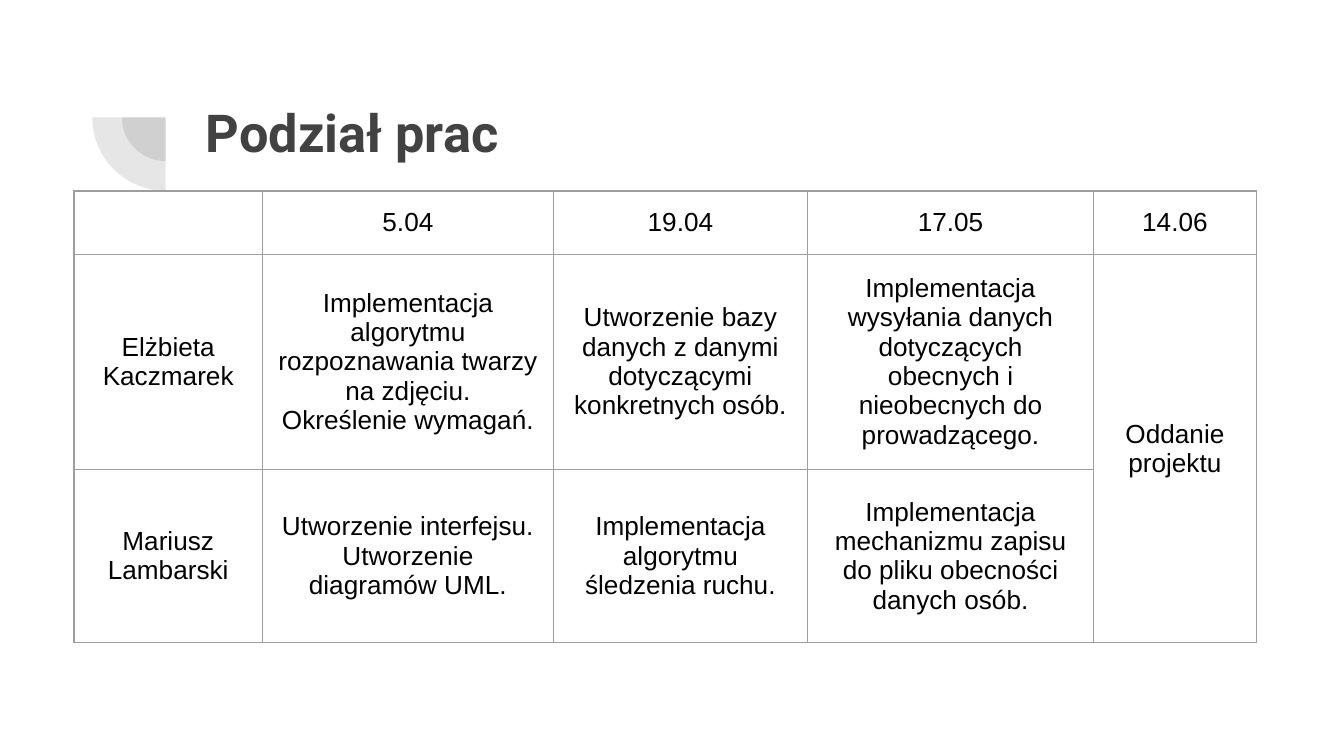
from lxml import etree
from pptx import Presentation
from pptx.dml.color import RGBColor
from pptx.enum.shapes import MSO_SHAPE
from pptx.enum.text import MSO_ANCHOR, PP_ALIGN
from pptx.oxml.ns import qn
from pptx.util import Cm, Pt

CENTER = PP_ALIGN.CENTER
MIDDLE = MSO_ANCHOR.MIDDLE
PIE = MSO_SHAPE.PIE

DARK_GREY = RGBColor(0x42, 0x42, 0x42)
BLACK = RGBColor(0, 0, 0)
BORDER_GREY = RGBColor(0x9E, 0x9E, 0x9E)

# Content
TITLE = "Podział prac"
SCHEDULE = [
    ["", "5.04", "19.04", "17.05", "14.06"],
    [
        "Elżbieta Kaczmarek",
        "Implementacja algorytmu rozpoznawania twarzy na zdjęciu.\nOkreślenie wymagań.",
        "Utworzenie bazy danych z danymi dotyczącymi konkretnych osób.",
        "Implementacja wysyłania danych dotyczących obecnych i nieobecnych do prowadzącego.",
        "Oddanie projektu",
    ],
    [
        "Mariusz Lambarski",
        "Utworzenie interfejsu.\nUtworzenie diagramów UML.",
        "Implementacja algorytmu śledzenia ruchu.",
        "Implementacja mechanizmu zapisu do pliku obecności danych osób.",
        "",
    ],
]

# Layout, in centimetres
COLUMN_WIDTHS = [3.56, 5.5, 4.8, 5.41, 3.07]
ROW_HEIGHTS = [1.2, 3.84, 3.28]
TABLE_LEFT, TABLE_TOP = 1.4, 3.61
PIE_CENTER = (3.13, 2.22)
PIE_DIAMETERS = [1.65, 2.77]
INSET = Cm(0.25)
EMPTY_INSET = Cm(0.1)


def style_font(run, name, size, color, bold=False):
    run.font.name = name
    run.font.size = Pt(size)
    run.font.color.rgb = color
    run.font.bold = bold


def add_quarter_pie(slide, diameter):
    left, top = (Cm(center - diameter / 2) for center in PIE_CENTER)
    shape = slide.shapes.add_shape(PIE, left, top, Cm(diameter), Cm(diameter))
    shape.adjustments[0] = 108
    shape.adjustments[1] = 162
    shape.rotation = 270
    shape.shadow.inherit = False
    shape.line.fill.background()
    shape.fill.solid()
    shape.fill.fore_color.rgb = DARK_GREY
    color = shape.fill._xPr.find(qn("a:solidFill"))[0]
    etree.SubElement(color, qn("a:alpha"), val="13000")


def add_borders(cell):
    properties = cell._tc.get_or_add_tcPr()
    for index, side in enumerate(("a:lnL", "a:lnR", "a:lnT", "a:lnB")):
        line = etree.Element(qn(side), w=str(Pt(0.75)))
        fill = etree.SubElement(line, qn("a:solidFill"))
        etree.SubElement(fill, qn("a:srgbClr"), val=str(BORDER_GREY))
        properties.insert(index, line)


def fill_cell(cell, text):
    cell.text_frame.text = text
    cell.vertical_anchor = MIDDLE
    cell.margin_left = cell.margin_right = INSET
    cell.margin_top = cell.margin_bottom = INSET if text else EMPTY_INSET
    cell.fill.background()
    add_borders(cell)
    for paragraph in cell.text_frame.paragraphs:
        paragraph.alignment = CENTER
        for run in paragraph.runs:
            style_font(run, "Arial", 14, BLACK)


presentation = Presentation()
presentation.slide_width = Cm(25.4)
presentation.slide_height = Cm(14.29)
slide = presentation.slides.add_slide(presentation.slide_layouts[6])

# Corner ornament
for diameter in PIE_DIAMETERS:
    add_quarter_pie(slide, diameter)

# Title
title_frame = slide.shapes.add_textbox(Cm(3.64), Cm(1.65), Cm(19.53), Cm(2.77)).text_frame
title_frame.word_wrap = True
title_frame.margin_left = title_frame.margin_right = INSET
title_frame.margin_top = title_frame.margin_bottom = INSET
title_frame.text = TITLE
style_font(title_frame.paragraphs[0].runs[0], "Roboto", 28, DARK_GREY, bold=True)

# Schedule table
table = slide.shapes.add_table(
    len(ROW_HEIGHTS), len(COLUMN_WIDTHS), Cm(TABLE_LEFT), Cm(TABLE_TOP),
    Cm(sum(COLUMN_WIDTHS)), Cm(sum(ROW_HEIGHTS)),
).table
table.first_row = False
table.horz_banding = False
for column, width in zip(table.columns, COLUMN_WIDTHS):
    column.width = Cm(width)
for row, height, texts in zip(table.rows, ROW_HEIGHTS, SCHEDULE):
    row.height = Cm(height)
    for cell, text in zip(row.cells, texts):
        fill_cell(cell, text)
table.cell(1, 4).merge(table.cell(2, 4))

presentation.save("out.pptx")
